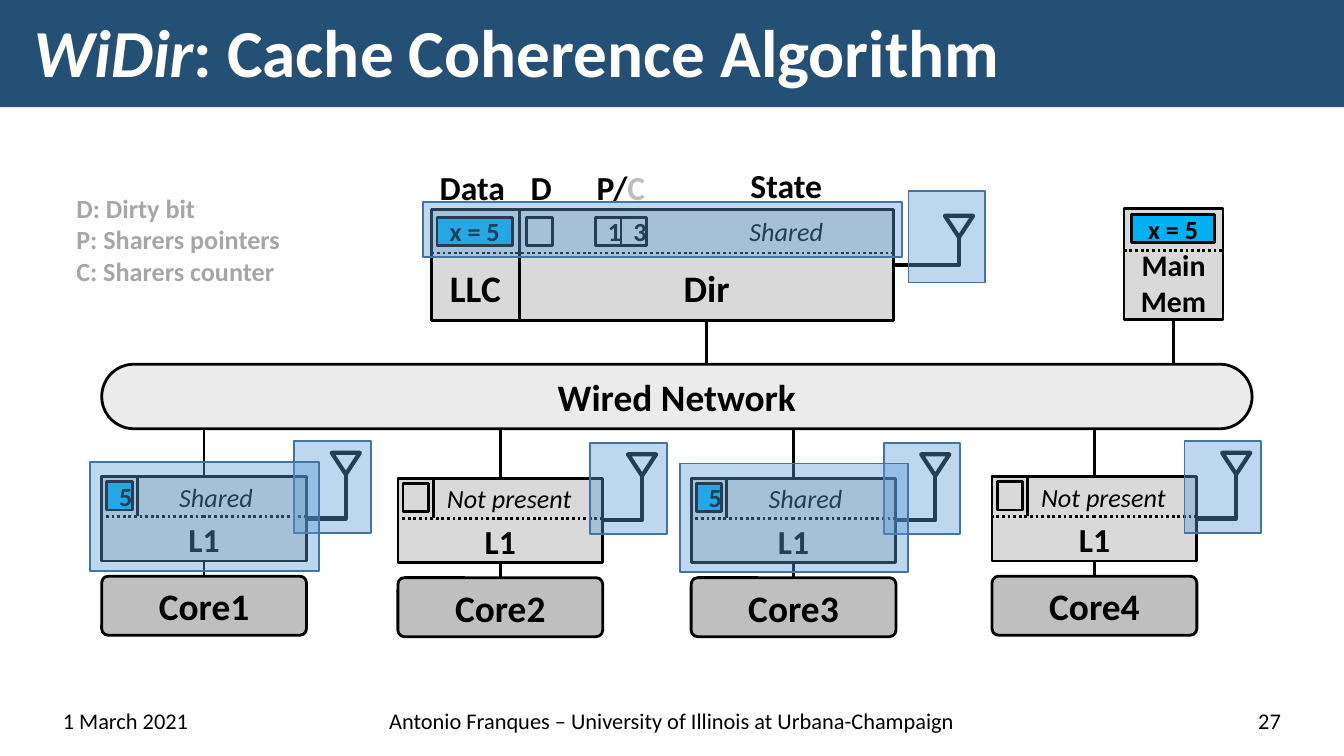
"""Build the WiDir cache coherence slide."""
from dataclasses import dataclass

from lxml import etree
from pptx import Presentation
from pptx.dml.color import RGBColor
from pptx.enum.dml import MSO_LINE
from pptx.enum.shapes import MSO_CONNECTOR, MSO_SHAPE
from pptx.enum.text import MSO_ANCHOR, MSO_AUTO_SIZE, PP_ALIGN
from pptx.oxml.ns import qn
from pptx.util import Pt

RECT, ROUND, TRIANGLE = MSO_SHAPE.RECTANGLE, MSO_SHAPE.ROUNDED_RECTANGLE, MSO_SHAPE.ISOSCELES_TRIANGLE
STRAIGHT, ELBOW = MSO_CONNECTOR.STRAIGHT, MSO_CONNECTOR.ELBOW
DOT = MSO_LINE.ROUND_DOT
LEFT, CENTER, RIGHT = PP_ALIGN.LEFT, PP_ALIGN.CENTER, PP_ALIGN.RIGHT
TOP, MIDDLE, BOTTOM = MSO_ANCHOR.TOP, MSO_ANCHOR.MIDDLE, MSO_ANCHOR.BOTTOM

BLACK = RGBColor(0x00, 0x00, 0x00)
WHITE = RGBColor(0xFF, 0xFF, 0xFF)
NAVY = RGBColor(0x25, 0x50, 0x76)
PALE = RGBColor(0xEB, 0xEB, 0xEB)
LIGHT = RGBColor(0xD9, 0xD9, 0xD9)
SILVER = RGBColor(0xBF, 0xBF, 0xBF)
GRAY = RGBColor(0xA6, 0xA6, 0xA6)
CYAN = RGBColor(0x00, 0xB0, 0xF0)
GLOW = RGBColor(0x5B, 0x9B, 0xD5)
GLOW_EDGE = RGBColor(0x43, 0x73, 0x9E)

FONT = "Calibri"
CELL_W, CELL_H = 13.7, 15.1
CORE_W, L1_H = 109.7, 45.2
NET_X, NET_Y, NET_W, NET_H = 54.5, 195.1, 616.3, 34.6
DIR_X, DIR_Y, DIR_H, DIR_SPLIT, DIR_END = 231.1, 112.1, 59.6, 278.3, 478.8
MEM_X, MEM_Y, MEM_W = 602.1, 111.6, 53.1


@dataclass
class Run:
    text: str
    size: float = 14
    bold: bool = True
    italic: bool = False
    color: RGBColor = BLACK


@dataclass
class Label:
    x: float
    y: float
    w: float
    h: float
    runs: list[Run]
    align: PP_ALIGN = CENTER
    anchor: MSO_ANCHOR = TOP


@dataclass
class Core:
    name: str
    x: float
    y: float
    state: str
    indent: float
    value: str = ""


CORES = [
    Core("Core1", 54.5, 255.4, "Shared", 12.7, "5"),
    Core("Core2", 213.2, 256.2, "Not present", 9.5),
    Core("Core3", 370.3, 256.2, "Shared", 12.7, "5"),
    Core("Core4", 531.5, 255.4, "Not present", 9.5),
]

LABELS = [
    Label(227.5, 85.7, 51.1, 28.8, [Run("Data", 18)]),
    Label(277.2, 85.7, 25.2, 28.8, [Run("D", 18)], RIGHT),
    Label(310.3, 85.7, 44.6, 28.8, [Run("P/", 18), Run("C", 18, color=SILVER)]),
    Label(366.5, 85, 109.4, 28.8, [Run("State", 18)]),
    Label(366.5, 111.6, 109.4, 24.5, [Run("Shared", bold=False, italic=True)]),
    Label(26.6, 375.1, 185, 21.6, [Run("1 March 2021", 12, False)], LEFT, BOTTOM),
    Label(199.4, 375.1, 321.1, 21.6,
          [Run("Antonio Franques – University of Illinois at Urbana-Champaign", 12, False)],
          CENTER, BOTTOM),
    Label(508.3, 375.1, 185, 21.6, [Run("27", 12, False)], RIGHT, BOTTOM),
]

LEGEND = ["D: Dirty bit", "P: Sharers pointers", "C: Sharers counter"]


def add_runs(p, runs: list[Run], align: PP_ALIGN) -> None:
    """Fill a paragraph with formatted runs."""
    p.alignment = align
    for run in runs:
        r = p.add_run()
        r.text = run.text
        f = r.font
        f.name, f.size, f.bold, f.italic = FONT, Pt(run.size), run.bold, run.italic
        f.color.rgb = run.color


def add_box(s, x: float, y: float, w: float, h: float, run: Run | None = None,
            fill: RGBColor | None = None, kind=RECT, line=BLACK, weight: float = 1.5):
    """Draw an outlined preset shape with optional centred text."""
    sp = s.shapes.add_shape(kind, Pt(x), Pt(y), Pt(w), Pt(h))
    sp.shadow.inherit = False
    if fill is None:
        sp.fill.background()
    else:
        sp.fill.solid()
        sp.fill.fore_color.rgb = fill
    sp.line.color.rgb = line
    sp.line.width = Pt(weight)
    if run:
        tf = sp.text_frame
        tf.vertical_anchor = MIDDLE
        add_runs(tf.paragraphs[0], [run], CENTER)
    return sp


def add_unit(s, x: float, y: float, w: float, h: float, run: Run) -> None:
    """Draw a grey unit whose name sits one line below the middle."""
    sp = add_box(s, x, y, w, h, run, LIGHT)
    sp.text_frame.margin_top = Pt(3.6 + 1.22 * run.size)


def add_line(s, x1: float, y1: float, x2: float, y2: float, weight: float = 1.5, kind=STRAIGHT):
    """Draw a black connector without a shadow."""
    c = s.shapes.add_connector(kind, Pt(x1), Pt(y1), Pt(x2), Pt(y2))
    c.line.color.rgb = BLACK
    c.line.width = Pt(weight)
    etree.SubElement(c._element.spPr, qn("a:effectLst"))
    return c


def add_antenna(s, x: float, y: float, foot_x: float, foot_y: float) -> None:
    """Draw an antenna and its bent lead to a unit."""
    add_box(s, x, y, 15.1, 11.5, kind=TRIANGLE, weight=2.25).rotation = 180
    c = add_line(s, foot_x, foot_y, x + 7.6, y + 11.5, 2.25, ELBOW)
    c._element.spPr.find(qn("a:prstGeom")).set("prst", "bentConnector2")


def add_glow(s, x: float, y: float, w: float = 41, h: float = 49) -> None:
    """Draw a translucent highlight."""
    sp = add_box(s, x, y, w, h, fill=GLOW, line=GLOW_EDGE, weight=1)
    clr = sp._element.spPr.find(qn("a:solidFill")).find(qn("a:srgbClr"))
    etree.SubElement(clr, qn("a:alpha")).set("val", "40000")


def add_label(s, label: Label):
    """Draw a text box and return its text frame."""
    tf = s.shapes.add_textbox(Pt(label.x), Pt(label.y), Pt(label.w), Pt(label.h)).text_frame
    tf.word_wrap = True
    tf.vertical_anchor = label.anchor
    add_runs(tf.paragraphs[0], label.runs, label.align)
    return tf


def add_core(s, core: Core) -> None:
    """Draw a core with its L1 cache, antenna and network link."""
    x, y, mid = core.x, core.y, core.x + CORE_W / 2
    add_unit(s, x, y, CORE_W, L1_H, Run("L1", 18))
    add_box(s, x, y + 53.3, CORE_W, 31.6, Run(core.name, 20), SILVER, ROUND).adjustments[0] = 0.11
    add_antenna(s, x + 123.2, y - 12.8, x + CORE_W, y + 22.4)
    add_line(s, mid, y, mid, NET_Y + NET_H)
    add_line(s, mid, y + 53.3, mid, y + L1_H)
    add_box(s, x + 2.7, y + 2.7, CELL_W, CELL_H, Run(core.value) if core.value else None,
            CYAN if core.value else None)
    add_line(s, x + 19.1, y + 21.2, x + 19.1, y - 0.4)
    row = add_box(s, x, y, CORE_W, 21.5, Run(core.state, bold=False, italic=True))
    row.line.dash_style = DOT
    row.text_frame.margin_left = Pt(7.2 + core.indent)


def add_directory(s) -> None:
    """Draw the shared cache, the directory and its entry."""
    add_unit(s, DIR_X, DIR_Y, DIR_SPLIT - DIR_X, DIR_H, Run("LLC", 20))
    add_unit(s, DIR_SPLIT, DIR_Y, DIR_END - DIR_SPLIT, DIR_H, Run("Dir", 20))
    add_antenna(s, 506.2, 115.6, DIR_END, 141.8)
    add_line(s, DIR_X, 135.6, DIR_END, 135.6).line.dash_style = DOT
    for x, text in [(282.2, ""), (319, "1"), (332.7, "3")]:
        add_box(s, x, 116.4, CELL_W, CELL_H, Run(text) if text else None)
    tf = add_box(s, 234.1, 116.4, 40.4, CELL_H, Run("x = 5"), CYAN).text_frame
    tf.margin_left = tf.margin_right = Pt(0)
    mid = (DIR_SPLIT + DIR_END) / 2
    add_line(s, mid, NET_Y, mid, DIR_Y + DIR_H)


def add_memory(s) -> None:
    """Draw the main memory and its network link."""
    add_unit(s, MEM_X, MEM_Y, MEM_W, DIR_H, Run("Main Mem", 16))
    mid = MEM_X + MEM_W / 2
    add_line(s, mid, NET_Y, mid, MEM_Y + DIR_H)
    add_line(s, MEM_X, 134.4, MEM_X + MEM_W, 134.4).line.dash_style = DOT
    add_box(s, 606.2, 115, 44.6, CELL_H, Run("x = 5"), CYAN)


def add_title(s) -> None:
    """Format the title and put its band behind it."""
    title = s.shapes.title
    band = add_box(s, 0, 0, 720, 57.5, fill=NAVY)
    band.line.fill.background()
    title._element.addprevious(band._element)
    title.left, title.top, title.width, title.height = Pt(10.8), Pt(7.2), Pt(698.4), Pt(45.4)
    tf = title.text_frame
    tf.auto_size, tf.word_wrap, tf.vertical_anchor = MSO_AUTO_SIZE.NONE, True, MIDDLE
    p = tf.paragraphs[0]
    p.line_spacing = 0.9
    add_runs(p, [Run("WiDir", 36, italic=True, color=WHITE),
                 Run(": Cache Coherence Algorithm", 36, color=WHITE)], LEFT)


def main() -> None:
    """Assemble and save the slide."""
    prs = Presentation()
    prs.slide_width, prs.slide_height = Pt(720), Pt(405)
    s = prs.slides.add_slide(prs.slide_layouts[5])
    add_title(s)
    add_box(s, NET_X, NET_Y, NET_W, NET_H, Run("Wired Network", 20), PALE, ROUND).adjustments[0] = 0.5
    add_directory(s)
    add_memory(s)
    for core in CORES:
        add_core(s, core)
    for label in LABELS:
        add_label(s, label)
    first, *rest = [Run(text, color=GRAY) for text in LEGEND]
    tf = add_label(s, Label(33.8, 99.4, 136.1, 58.3, [first], LEFT))
    for run in rest:
        add_runs(tf.add_paragraph(), [run], LEFT)
    for core in CORES:
        add_glow(s, core.x + 103.1, core.y - 19)
        if core.value:
            add_glow(s, core.x - 6.1, core.y - 7.9, 122.4, 58.3)
    add_glow(s, 486.7, 102.4)
    add_glow(s, 226.8, 108.4, 256.5, 29.5)
    prs.save("out.pptx")


if __name__ == "__main__":
    main()
